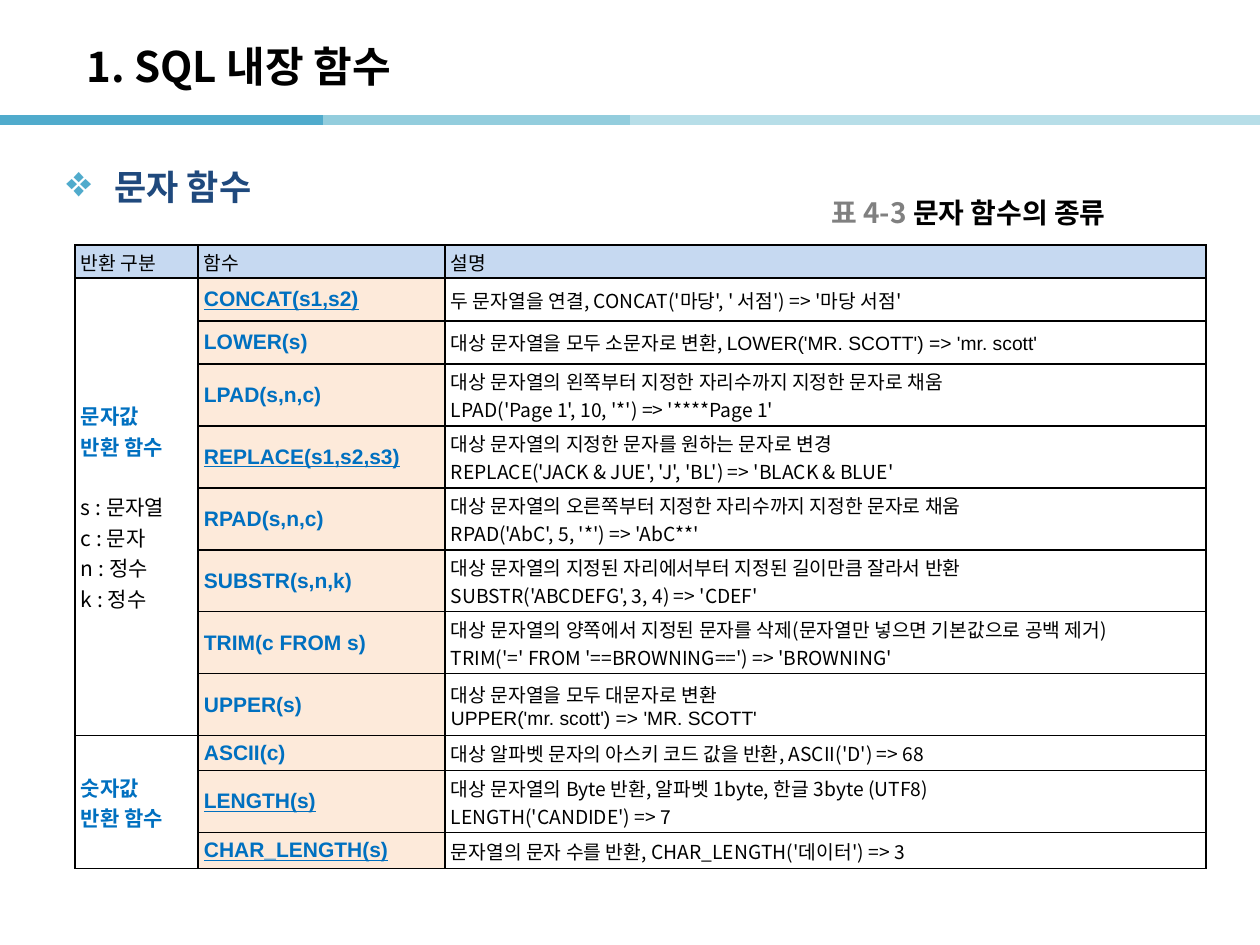
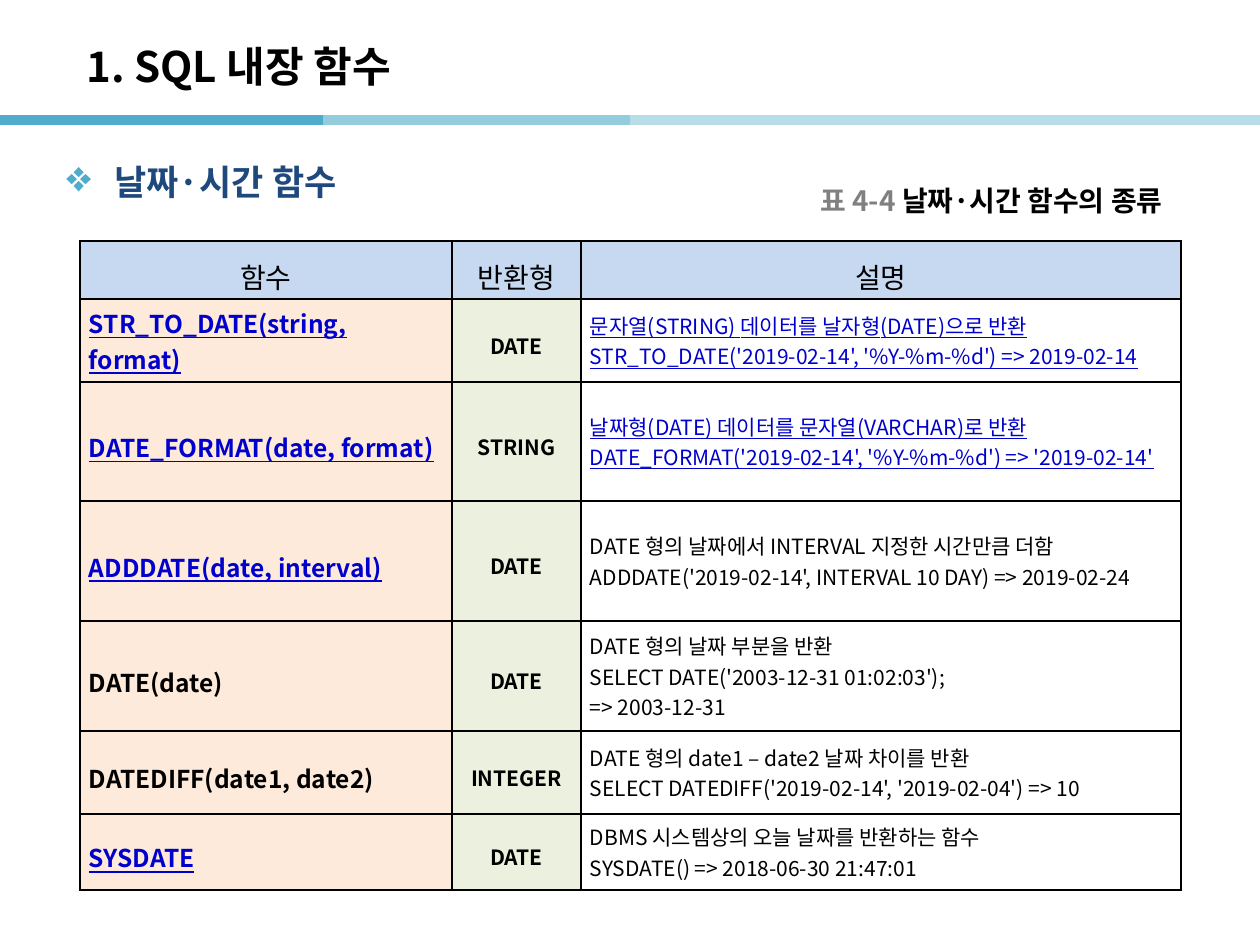
from dataclasses import dataclass, replace

from lxml import etree
from pptx import Presentation
from pptx.dml.color import RGBColor
from pptx.enum.shapes import MSO_CONNECTOR
from pptx.enum.text import MSO_ANCHOR, PP_ALIGN
from pptx.oxml.ns import qn
from pptx.util import Emu, Pt

LEFT, CENTER, RIGHT, JUSTIFY = PP_ALIGN.LEFT, PP_ALIGN.CENTER, PP_ALIGN.RIGHT, PP_ALIGN.JUSTIFY
MIDDLE = MSO_ANCHOR.MIDDLE
STRAIGHT = MSO_CONNECTOR.STRAIGHT

PX_PER_INCH = 126
SLIDE_SIZE = (1260, 945)
KOREAN_FONT = "Noto Sans CJK KR"
CODE_FONT = "Arial"

BLACK, GRAY, NAVY = "000000", "808080", "1F497D"
TEAL, TEAL_MID, TEAL_PALE = "50ABCC", "93CDDD", "B7DEE8"
HEADER_FILL, FUNCTION_FILL, TYPE_FILL = "C6D9F1", "FDEADA", "EBF1DE"
FUNCTION_BLUE, KEY_BLUE = "0070C0", "0000CC"

TITLE = "1. SQL 내장 함수"
BAND = [(0, 323, TEAL), (323, 645, TEAL_MID), (630, 953, TEAL_PALE), (940, 1263, TEAL_PALE)]
BAND_Y = 120


@dataclass(frozen=True)
class Style:
    size: int
    color: str = BLACK
    bold: bool = False
    underline: bool = False
    font: str = KOREAN_FONT
    align: PP_ALIGN = LEFT
    spacing: float = 1.0


TITLE_STYLE = Style(24, bold=True)
HEADING_STYLE = Style(20, NAVY, bold=True)
CAPTION_STYLE = Style(16, bold=True)

# Text functions: (function, underlined, description lines)
STRING_FUNCTIONS = [
    ("CONCAT(s1,s2)", True, ["두 문자열을 연결, CONCAT('마당', ' 서점') => '마당 서점'"]),
    ("LOWER(s)", False, [["대상 문자열을 모두 소문자로 변환, ", "LOWER('MR. SCOTT') => 'mr. scott'"]]),
    ("LPAD(s,n,c)", False, ["대상 문자열의 왼쪽부터 지정한 자리수까지 지정한 문자로 채움",
                            "LPAD('Page 1', 10, '*') => '****Page 1'"]),
    ("REPLACE(s1,s2,s3)", True, ["대상 문자열의 지정한 문자를 원하는 문자로 변경",
                                 "REPLACE('JACK & JUE', 'J', 'BL') => 'BLACK & BLUE'"]),
    ("RPAD(s,n,c)", False, ["대상 문자열의 오른쪽부터 지정한 자리수까지 지정한 문자로 채움",
                            "RPAD('AbC', 5, '*') => 'AbC**'"]),
    ("SUBSTR(s,n,k)", False, ["대상 문자열의 지정된 자리에서부터 지정된 길이만큼 잘라서 반환",
                              "SUBSTR('ABCDEFG', 3, 4) => 'CDEF'"]),
    ("TRIM(c FROM s)", False, ["대상 문자열의 양쪽에서 지정된 문자를 삭제(문자열만 넣으면 기본값으로 공백 제거)",
                               "TRIM('=' FROM '==BROWNING==') => 'BROWNING'"]),
    ("UPPER(s)", False, ["대상 문자열을 모두 대문자로 변환", ["", "UPPER('mr. scott') => 'MR. SCOTT'"]]),
    ("ASCII(c)", False, ["대상 알파벳 문자의 아스키 코드 값을 반환, ASCII('D') => 68"]),
    ("LENGTH(s)", True, ["대상 문자열의 Byte 반환, 알파벳 1byte, 한글 3byte (UTF8)",
                         "LENGTH('CANDIDE') => 7"]),
    ("CHAR_LENGTH(s)", True, ["문자열의 문자 수를 반환, CHAR_LENGTH('데이터') => 3"]),
]
# Return groups: (first row, last row, name lines, legend lines)
RETURN_GROUPS = [
    (1, 8, ["문자값", "반환 함수"], ["s : 문자열", "c : 문자", "n : 정수", "k : 정수"]),
    (9, 11, ["숫자값", "반환 함수"], []),
]

# Date functions: (function, key function, return type, key description, description lines)
DATE_FUNCTIONS = [
    ("STR_TO_DATE(string, format)", True, "DATE", True,
     ["문자열(STRING) 데이터를 날자형(DATE)으로 반환",
      "STR_TO_DATE('2019-02-14', '%Y-%m-%d') => 2019-02-14"]),
    ("DATE_FORMAT(date, format)", True, "STRING", True,
     ["날짜형(DATE) 데이터를 문자열(VARCHAR)로 반환",
      "DATE_FORMAT('2019-02-14', '%Y-%m-%d') => '2019-02-14'"]),
    ("ADDDATE(date, interval)", True, "DATE", False,
     ["DATE 형의 날짜에서 INTERVAL 지정한 시간만큼 더함",
      "ADDDATE('2019-02-14', INTERVAL 10 DAY) => 2019-02-24"]),
    ("DATE(date)", False, "DATE", False,
     ["DATE 형의 날짜 부분을 반환", "SELECT DATE('2003-12-31 01:02:03');", "=> 2003-12-31"]),
    ("DATEDIFF(date1, date2)", False, "INTEGER", False,
     ["DATE 형의 date1 – date2 날짜 차이를 반환",
      "SELECT DATEDIFF('2019-02-14', '2019-02-04') => 10"]),
    ("SYSDATE", True, "DATE", False,
     ["DBMS 시스템상의 오늘 날짜를 반환하는 함수", "SYSDATE() => 2018-06-30 21:47:01"]),
]


def px(length):
    return Emu(round(length * 914400 / PX_PER_INCH))


def rgb(hex_color):
    return RGBColor.from_string(hex_color)


def set_font(font, style):
    font.size = Pt(style.size)
    font.bold = style.bold
    font.underline = style.underline
    font.color.rgb = rgb(style.color)
    font.name = style.font
    etree.SubElement(font._element, qn("a:ea"), typeface=KOREAN_FONT)


def write(frame, lines, style):
    """Write one paragraph per line; a line is a string or a list of (text, style)."""
    for index, line in enumerate(lines):
        paragraph = frame.paragraphs[0] if index == 0 else frame.add_paragraph()
        paragraph.alignment = style.align
        paragraph.line_spacing = style.spacing
        spans = [(line, style)] if isinstance(line, str) else line
        for text, span_style in spans:
            run = paragraph.add_run()
            run.text = text
            if len(spans) > 1:
                set_font(run.font, span_style)
        if len(spans) == 1:
            set_font(paragraph.font, spans[0][1])


def add_text(slide, box, lines, style, wrap=True):
    frame = slide.shapes.add_textbox(*map(px, box)).text_frame
    frame.word_wrap = wrap
    frame.vertical_anchor = MIDDLE
    write(frame, lines, style)
    return frame


def add_band(slide):
    for start, end, color in BAND:
        stripe = slide.shapes.add_connector(STRAIGHT, px(start), px(BAND_Y), px(end), px(BAND_Y))
        stripe.line.color.rgb = rgb(color)
        stripe.line.width = Pt(6)
        etree.SubElement(stripe._element.spPr, qn("a:effectLst"))


def add_heading(slide, box, text):
    paragraph = add_text(slide, box, [text], HEADING_STYLE).paragraphs[0]
    properties = paragraph._p.get_or_add_pPr()
    properties.set("marL", str(px(48)))
    properties.set("indent", str(px(-48)))
    bullet_color = etree.Element(qn("a:buClr"))
    etree.SubElement(bullet_color, qn("a:srgbClr"), val=TEAL)
    bullet_size = etree.Element(qn("a:buSzPct"), val="125000")
    bullet = etree.Element(qn("a:buChar"), char="❖")
    default_font = properties.find(qn("a:defRPr"))
    for part in (bullet_color, bullet_size, bullet):
        default_font.addprevious(part)


def add_caption(slide, box, number, text, align):
    spans = [(number + " ", replace(CAPTION_STYLE, color=GRAY)), (text, CAPTION_STYLE)]
    add_text(slide, box, [spans], replace(CAPTION_STYLE, align=align), wrap=False)


def add_borders(cell):
    properties = cell._tc.get_or_add_tcPr()
    for side in ("lnL", "lnR", "lnT", "lnB"):
        border = etree.SubElement(properties, qn(f"a:{side}"), w=str(Pt(1)))
        fill = etree.SubElement(border, qn("a:solidFill"))
        etree.SubElement(fill, qn("a:srgbClr"), val=BLACK)


def add_grid(slide, left, top, widths, heights, side_margin, column_fills):
    """Add an empty bordered table with a filled header row."""
    table = slide.shapes.add_table(len(heights), len(widths), px(left), px(top),
                                   px(sum(widths)), px(sum(heights))).table
    table.first_row = table.horz_banding = False
    for column, width in zip(table.columns, widths):
        column.width = px(width)
    for index, (row, height) in enumerate(zip(table.rows, heights)):
        row.height = px(height)
        for cell, column_fill in zip(row.cells, column_fills):
            add_borders(cell)
            color = HEADER_FILL if index == 0 else column_fill
            if color:
                cell.fill.solid()
                cell.fill.fore_color.rgb = rgb(color)
            else:
                cell.fill.background()
            cell.vertical_anchor = MIDDLE
            cell.margin_left = cell.margin_right = px(side_margin)
            cell.margin_top = cell.margin_bottom = px(3)
    return table


def fill_row(table, row, first_column, entries):
    for column, (lines, style) in enumerate(entries, first_column):
        write(table.cell(row, column).text_frame, lines, style)


def add_string_table(slide, left, top):
    heights = [33, 43, 43] + [62] * 6 + [35, 62, 36]
    table = add_grid(slide, left, top, [123, 247, 761], heights, 6, [None, FUNCTION_FILL, None])
    description = Style(11, align=JUSTIFY)
    code = replace(description, font=CODE_FONT)
    function = Style(12, FUNCTION_BLUE, bold=True, font=CODE_FONT, align=JUSTIFY)
    group = replace(function, font=KOREAN_FONT)
    legend = Style(12, align=JUSTIFY)

    fill_row(table, 0, 0, [([name], description) for name in ("반환 구분", "함수", "설명")])
    for row, (name, underlined, lines) in enumerate(STRING_FUNCTIONS, 1):
        styled_lines = [
            line if isinstance(line, str)
            else [(text, style) for text, style in zip(line, (description, code)) if text]
            for line in lines
        ]
        fill_row(table, row, 1, [([name], replace(function, underline=underlined)),
                                 (styled_lines, description)])
    for first, last, names, legend_lines in RETURN_GROUPS:
        group_cell = table.cell(first, 0)
        group_cell.merge(table.cell(last, 0))
        frame = group_cell.text_frame
        write(frame, names + [[(line, legend)] for line in legend_lines], group)
        if legend_lines:
            frame.paragraphs[len(names)].space_before = Pt(17.4)


def add_date_table(slide, left, top):
    heights = [58, 83, 119, 120, 110, 83, 76]
    table = add_grid(slide, left, top, [372, 129, 600], heights, 9,
                     [FUNCTION_FILL, TYPE_FILL, None])
    header = Style(16, align=CENTER, spacing=1.3)
    return_style = Style(12, bold=True, align=CENTER, spacing=1.3)

    fill_row(table, 0, 0, [([name], header) for name in ("함수", "반환형", "설명")])
    for row, (name, key, return_type, key_text, lines) in enumerate(DATE_FUNCTIONS, 1):
        function = Style(14, KEY_BLUE if key else BLACK, bold=True, underline=key,
                         spacing=1.0 if row == 1 else 1.3)
        description = Style(12, KEY_BLUE if key_text else BLACK, underline=key_text, align=JUSTIFY)
        fill_row(table, row, 0, [([name], function), ([return_type], return_style),
                                 (lines, description)])


def add_base_slide(deck):
    slide = deck.slides.add_slide(deck.slide_layouts[6])
    add_band(slide)
    add_text(slide, (74, 28, 1042, 76), [TITLE], TITLE_STYLE)
    return slide


def add_string_slide(deck):
    slide = add_base_slide(deck)
    add_caption(slide, (819, 193, 348, 39), "표 4-3", "문자 함수의 종류", LEFT)
    add_string_table(slide, 75, 245)
    add_heading(slide, (54, 150, 1111, 72), "문자 함수")


def add_date_slide(deck):
    slide = add_base_slide(deck)
    add_caption(slide, (719, 181, 456, 39), "표 4-4", "날짜·시간 함수의 종류", RIGHT)
    add_date_table(slide, 80, 241)
    add_heading(slide, (54, 145, 694, 72), "날짜·시간 함수")


def main():
    deck = Presentation()
    deck.slide_width, deck.slide_height = map(px, SLIDE_SIZE)
    add_string_slide(deck)
    add_date_slide(deck)
    deck.save("out.pptx")


if __name__ == "__main__":
    main()
